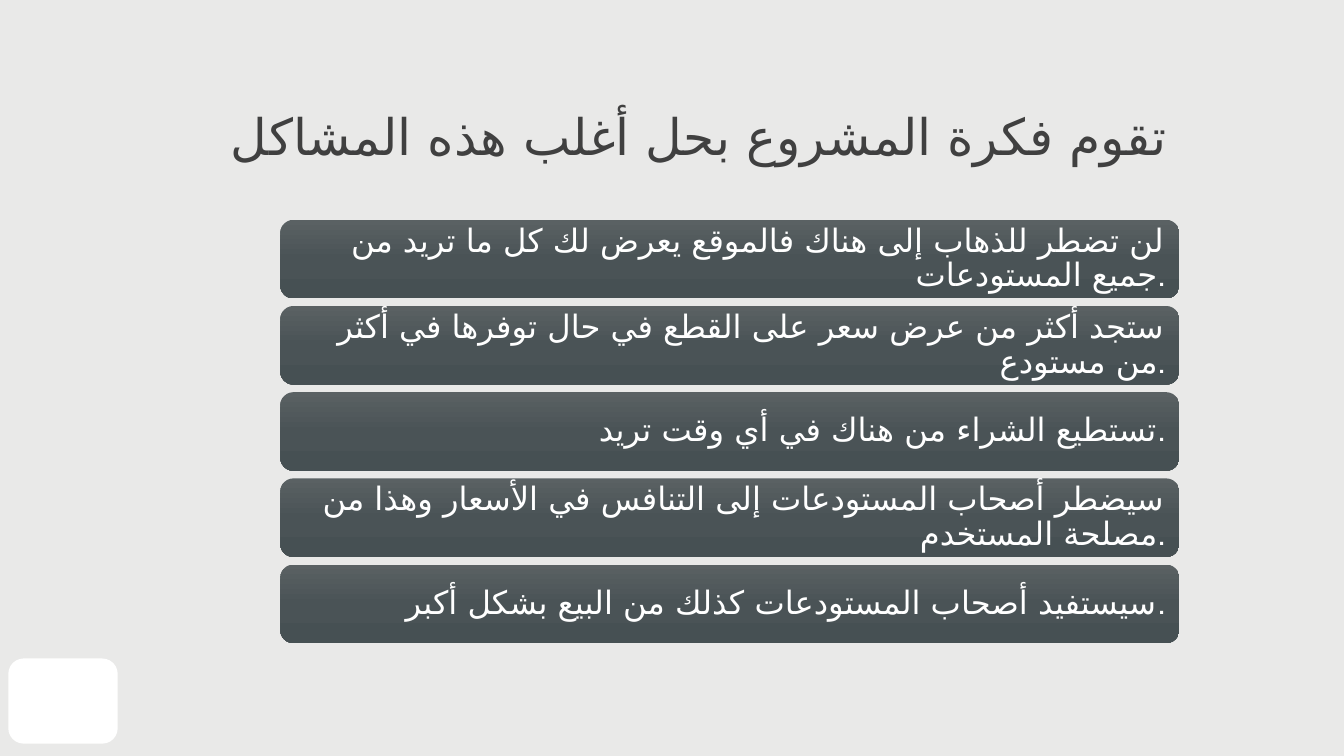
import copy

import pptx
import pptx.dml.color
import pptx.enum.shapes
import pptx.enum.text
import pptx.oxml
import pptx.oxml.ns
import pptx.util

Pt = pptx.util.Pt
RGBColor = pptx.dml.color.RGBColor
SHAPE = pptx.enum.shapes.MSO_SHAPE

BACKGROUND = RGBColor(0xF2, 0xF2, 0xF2)
VEIL = RGBColor(0xE1, 0xE1, 0xDF)
TITLE_GREY = RGBColor(0x40, 0x40, 0x40)
WHITE = RGBColor(0xFF, 0xFF, 0xFF)
BAR_STOPS = (
    (0, RGBColor(0x5A, 0x61, 0x63)),
    (0.5, RGBColor(0x4A, 0x53, 0x56)),
    (1, RGBColor(0x46, 0x50, 0x53)),
)

FONT = "Roboto Slab"
ARABIC_FONT = "DejaVu Sans"
WIDTH, HEIGHT = 960, 540
TITLE = "تقوم فكرة المشروع بحل أغلب هذه المشاكل"
SOLUTIONS = (
    "لن تضطر للذهاب إلى هناك فالموقع يعرض لك كل ما تريد من جميع المستودعات.",
    "ستجد أكثر من عرض سعر على القطع في حال توفرها في أكثر من مستودع.",
    "تستطيع الشراء من هناك في أي وقت تريد.",
    "سيضطر أصحاب المستودعات إلى التنافس في الأسعار وهذا من مصلحة المستخدم.",
    "سيستفيد أصحاب المستودعات كذلك من البيع بشكل أكبر.",
)


def make_xml(tag, content):
    """Return a drawing element with the given attributes and content."""
    return pptx.oxml.parse_xml(
        f'<a:{tag} {pptx.oxml.ns.nsdecls("a")} {content}</a:{tag}>'
    )


def write_text(sp, text, size, color, spacing, insets):
    """Fill a shape with one right-aligned, vertically centred paragraph."""
    tf = sp.text_frame
    frame_format = {
        "word_wrap": True,
        "auto_size": pptx.enum.text.MSO_AUTO_SIZE.NONE,
        "vertical_anchor": pptx.enum.text.MSO_ANCHOR.MIDDLE,
    }
    for side, inset in zip(("left", "top", "right", "bottom"), insets):
        frame_format["margin_" + side] = Pt(inset)
    for name, value in frame_format.items():
        setattr(tf, name, value)
    p = tf.paragraphs[0]
    p.alignment = pptx.enum.text.PP_ALIGN.RIGHT
    p.line_spacing = spacing
    r = p.add_run()
    r.text = text
    for name, value in {"name": FONT, "size": Pt(size), "bold": False}.items():
        setattr(r.font, name, value)
    r.font.color.rgb = color
    r.font._element.append(make_xml("cs", f'typeface="{ARABIC_FONT}">'))


def add_panel(s, kind, box):
    """Add a shape without shadow or outline in the given box."""
    sp = s.shapes.add_shape(kind, *map(Pt, box))
    sp.shadow.inherit = False
    sp.line.fill.background()
    return sp


def add_backdrop(s, box):
    """Colour the background and lay a half-transparent veil at the back."""
    s.background.fill.solid()
    s.background.fill.fore_color.rgb = BACKGROUND
    sp = add_panel(s, SHAPE.RECTANGLE, box)
    sp.fill.solid()
    sp.fill.fore_color.rgb = VEIL
    color = sp._element.find(".//" + pptx.oxml.ns.qn("a:srgbClr"))
    color.append(make_xml("alpha", 'val="50000">'))
    s.shapes._spTree.insert(2, sp._element)


def add_title(s, box):
    """Place and format the title placeholder with a rounded outline shape."""
    sp = s.shapes.title
    for name, value in zip(("left", "top", "width", "height"), box):
        setattr(sp, name, Pt(value))
    sp._element.spPr.append(make_xml(
        "prstGeom",
        'prst="roundRect"><a:avLst><a:gd name="adj" fmla="val 12600"/></a:avLst>',
    ))
    write_text(sp, TITLE, 36, TITLE_GREY, 1.2, (8.64, 8.64, 8.64, 7.2))


def fill_gradient(sp):
    """Shade a bar from top to bottom through the three stops."""
    sp.fill.gradient()
    sp.fill.gradient_angle = 270
    stops = sp._element.find(".//" + pptx.oxml.ns.qn("a:gsLst"))
    stops.append(copy.deepcopy(stops[0]))
    for stop, (position, color) in zip(sp.fill.gradient_stops, BAR_STOPS):
        stop.position = position
        stop.color.rgb = color


def add_solutions(s, box, gap=5.4):
    """Stack one rounded bar per solution in the given box."""
    left, top, width, height = box
    pitch = (height + gap) / len(SOLUTIONS)
    for i, text in enumerate(SOLUTIONS):
        bar = (left, top + i * pitch, width, pitch - gap)
        sp = add_panel(s, SHAPE.ROUNDED_RECTANGLE, bar)
        fill_gradient(sp)
        write_text(sp, text, 23, WHITE, 0.9, (7.2,) * 4)


def add_corner_tile(s, box):
    """Add the plain white tile in the corner."""
    sp = add_panel(s, SHAPE.ROUNDED_RECTANGLE, box)
    for fill in (sp.fill, sp.line.fill):
        fill.solid()
        fill.fore_color.rgb = WHITE
    sp.line.width = Pt(2.5)


def main():
    """Build the slide and save it."""
    prs = pptx.Presentation()
    prs.slide_width, prs.slide_height = Pt(WIDTH), Pt(HEIGHT)
    s = prs.slides.add_slide(prs.slide_layouts[5])
    add_backdrop(s, (0, 0, WIDTH, HEIGHT))
    add_title(s, (116, 54.7, 726.4, 74.2))
    add_solutions(s, (200.2, 157, 642.2, 302.4))
    add_corner_tile(s, (7.2, 471.6, 75.6, 58.3))
    prs.save("out.pptx")


if __name__ == "__main__":
    main()
